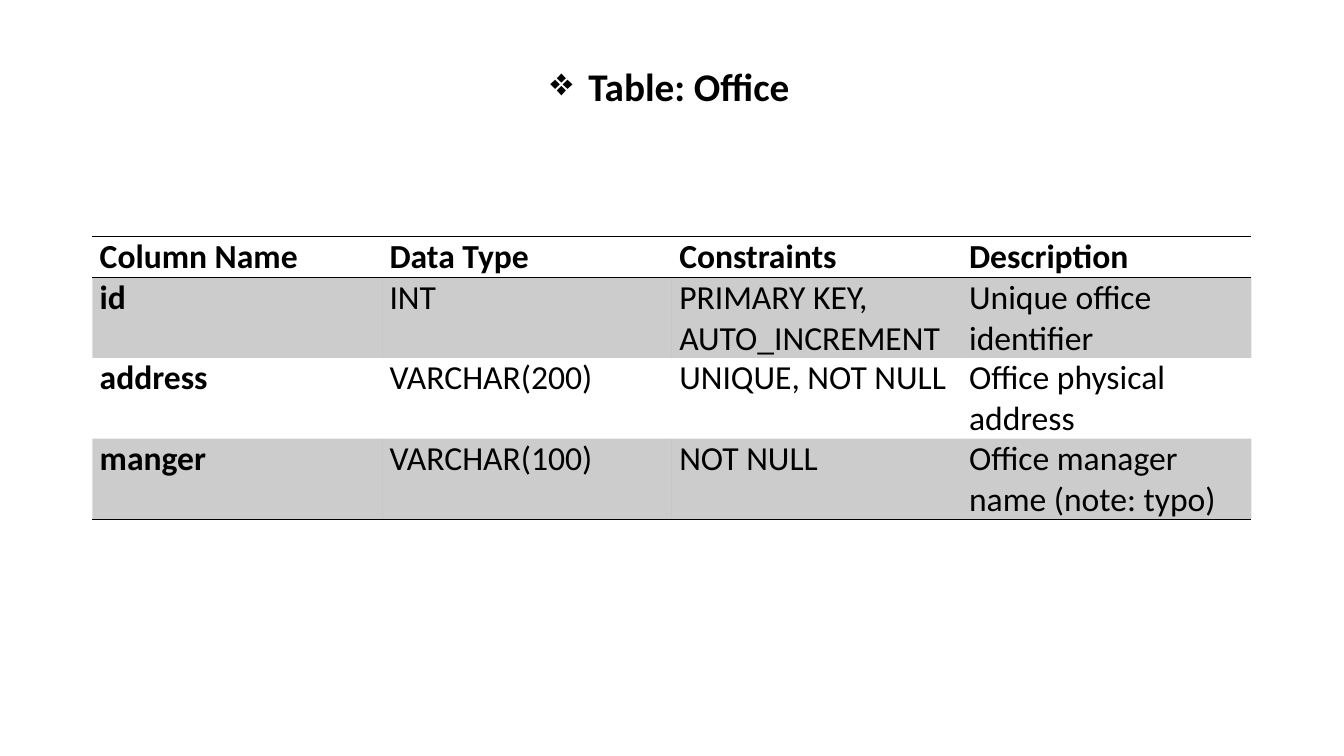
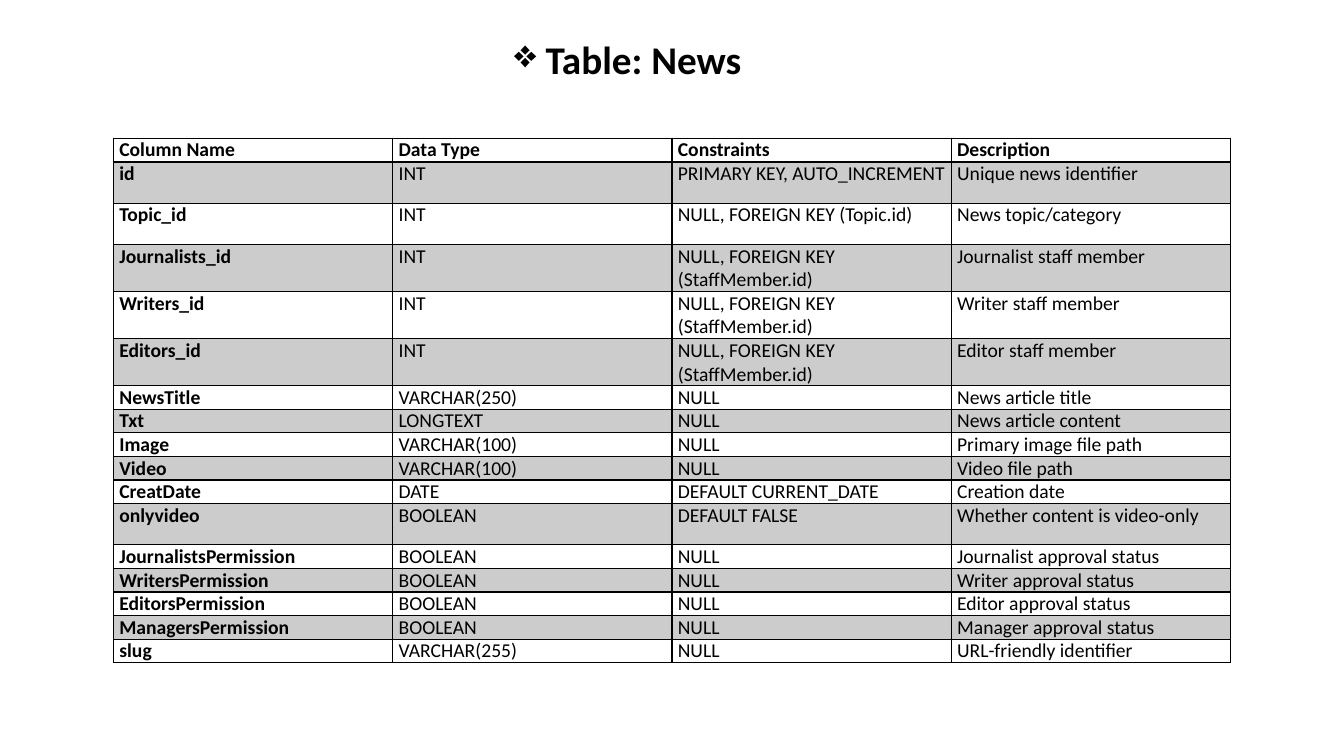
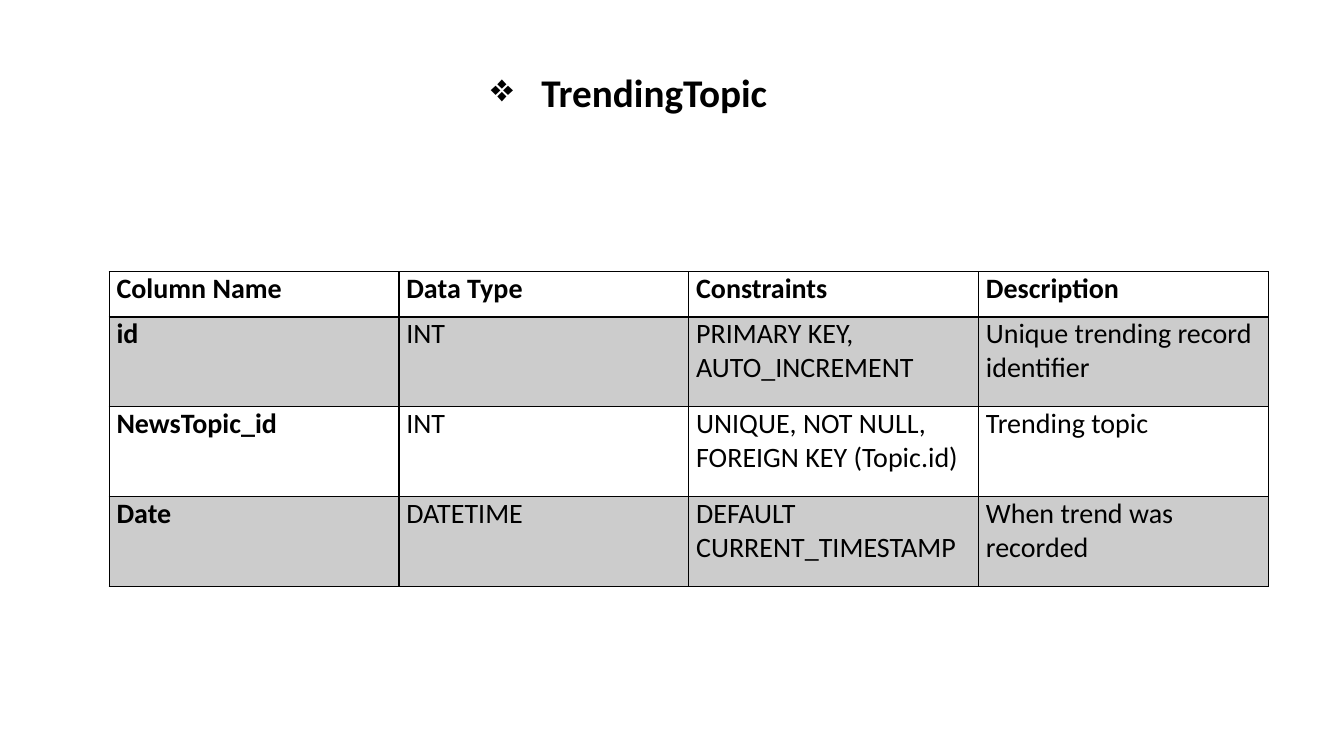
import pptx
import pptx.dml.color
import pptx.enum.text
import pptx.oxml.ns
import pptx.util
from lxml import etree

Pt = pptx.util.Pt
qn = pptx.oxml.ns.qn

HEADINGS = ("Column Name", "Data Type", "Constraints", "Description")
STAFF_KEY = "NULL, FOREIGN KEY (StaffMember.id)"
AUTO_KEY = "PRIMARY KEY, AUTO_INCREMENT"

OFFICE = (
    ("id", "INT", AUTO_KEY, "Unique office identifier"),
    ("address", "VARCHAR(200)", "UNIQUE, NOT NULL", "Office physical address"),
    ("manger", "VARCHAR(100)", "NOT NULL", "Office manager name (note: typo)"),
)
NEWS = (
    ("id", "INT", AUTO_KEY, "Unique news identifier"),
    ("Topic_id", "INT", "NULL, FOREIGN KEY (Topic.id)", "News topic/category"),
    ("Journalists_id", "INT", STAFF_KEY, "Journalist staff member"),
    ("Writers_id", "INT", STAFF_KEY, "Writer staff member"),
    ("Editors_id", "INT", STAFF_KEY, "Editor staff member"),
    ("NewsTitle", "VARCHAR(250)", "NULL", "News article title"),
    ("Txt", "LONGTEXT", "NULL", "News article content"),
    ("Image", "VARCHAR(100)", "NULL", "Primary image file path"),
    ("Video", "VARCHAR(100)", "NULL", "Video file path"),
    ("CreatDate", "DATE", "DEFAULT CURRENT_DATE", "Creation date"),
    ("onlyvideo", "BOOLEAN", "DEFAULT FALSE", "Whether content is video-only"),
    ("JournalistsPermission", "BOOLEAN", "NULL", "Journalist approval status"),
    ("WritersPermission", "BOOLEAN", "NULL", "Writer approval status"),
    ("EditorsPermission", "BOOLEAN", "NULL", "Editor approval status"),
    ("ManagersPermission", "BOOLEAN", "NULL", "Manager approval status"),
    ("slug", "VARCHAR(255)", "NULL", "URL-friendly identifier"),
)
TRENDING = (
    ("id", "INT", AUTO_KEY, "Unique trending record identifier"),
    ("NewsTopic_id", "INT", "UNIQUE, NOT NULL, FOREIGN KEY (Topic.id)", "Trending topic"),
    ("Date", "DATETIME", "DEFAULT CURRENT_TIMESTAMP", "When trend was recorded"),
)


class SchemaDeck:
    colors = {"ink": "000000"}
    font = "Calibri"
    title_size = 28
    band_alpha = 20000

    def __init__(self):
        self.deck = pptx.Presentation()
        self.deck.slide_width, self.deck.slide_height = Pt(960), Pt(540)
        self.page = None

    def ink(self):
        return pptx.dml.color.RGBColor.from_string(self.colors["ink"])

    def add_span(self, para, text, size, bold):
        span = para.add_run()
        span.text = text
        span.font.name = self.font
        span.font.size = Pt(size)
        span.font.bold = bold
        span.font.color.rgb = self.ink()

    def add_page(self, title, left, top, width, indent):
        self.page = self.deck.slides.add_slide(self.deck.slide_layouts[5])
        box = self.page.shapes.title
        box.left, box.top, box.width, box.height = Pt(left), Pt(top), Pt(width), Pt(41)
        frame = box.text_frame
        frame.word_wrap = False
        frame.auto_size = pptx.enum.text.MSO_AUTO_SIZE.SHAPE_TO_FIT_TEXT
        frame.vertical_anchor = pptx.enum.text.MSO_ANCHOR.TOP
        para = frame.paragraphs[0]
        para.alignment = pptx.enum.text.PP_ALIGN.LEFT
        props = para._p.get_or_add_pPr()
        props.set("marL", str(Pt(indent)))
        props.set("indent", str(-Pt(indent)))
        etree.SubElement(props, qn("a:buChar"), char="❖")
        self.add_span(para, title, self.title_size, True)

    def border(self, cell, widths):
        props = cell._tc.get_or_add_tcPr()
        for side in "LRTB":
            width = widths.get(side, 0)
            line = etree.SubElement(props, qn(f"a:ln{side}"), w=str(Pt(width)))
            if width:
                fill = etree.SubElement(line, qn("a:solidFill"))
                etree.SubElement(fill, qn("a:srgbClr"), val=self.colors["ink"])
            else:
                etree.SubElement(line, qn("a:noFill"))

    def shade(self, cell, banded):
        if not banded:
            cell.fill.background()
            return
        cell.fill.solid()
        cell.fill.fore_color.rgb = self.ink()
        tint = cell._tc.tcPr.find(f"{qn('a:solidFill')}/{qn('a:srgbClr')}")
        etree.SubElement(tint, qn("a:alpha"), val=str(self.band_alpha))

    def add_schema(self, records, left, top, column, heights, size, margin, rule, grid):
        rows = (HEADINGS,) + records
        last = len(rows) - 1
        table = self.page.shapes.add_table(
            len(rows), len(HEADINGS), Pt(left), Pt(top),
            Pt(column * len(HEADINGS)), Pt(sum(heights))).table
        for item in table.columns:
            item.width = Pt(column)
        for r, (texts, height) in enumerate(zip(rows, heights)):
            table.rows[r].height = Pt(height)
            widths = dict.fromkeys("LRTB", 1) if grid else {}
            if r in (0, last):
                widths["T" if r == 0 else "B"] = 1
            if r < 2:
                widths["B" if r == 0 else "T"] = rule
            for c, text in enumerate(texts):
                cell = table.cell(r, c)
                cell.margin_left = cell.margin_right = Pt(margin)
                cell.margin_top = cell.margin_bottom = 0
                self.border(cell, widths)
                self.shade(cell, r % 2 == 1)
                self.add_span(cell.text_frame.paragraphs[0], text, size, r == 0 or c == 0)


def main():
    schema = SchemaDeck()

    schema.add_page("Table: Office", 386, 41, 189, 27)
    schema.add_schema(OFFICE, 66, 169, 207, [29] + [57.5] * 3, 24, 5.25, 1, False)

    schema.add_page("Table: News", 360, 21.5, 181, 22.5)
    tall_rows = (1, 2, 3, 4, 5, 11)
    heights = [29.5 if r in tall_rows else 15 for r in range(len(NEWS) + 1)]
    schema.add_schema(NEWS, 81, 98.75, 199.5, heights, 14, 4.25, 2, True)

    schema.add_page("TrendingTopic", 343.5, 45.5, 214, 36)
    schema.add_schema(TRENDING, 78, 194, 207, [32.25] + [64.25] * 3, 20, 5.25, 1.5, True)

    schema.deck.save("out.pptx")


if __name__ == "__main__":
    main()
